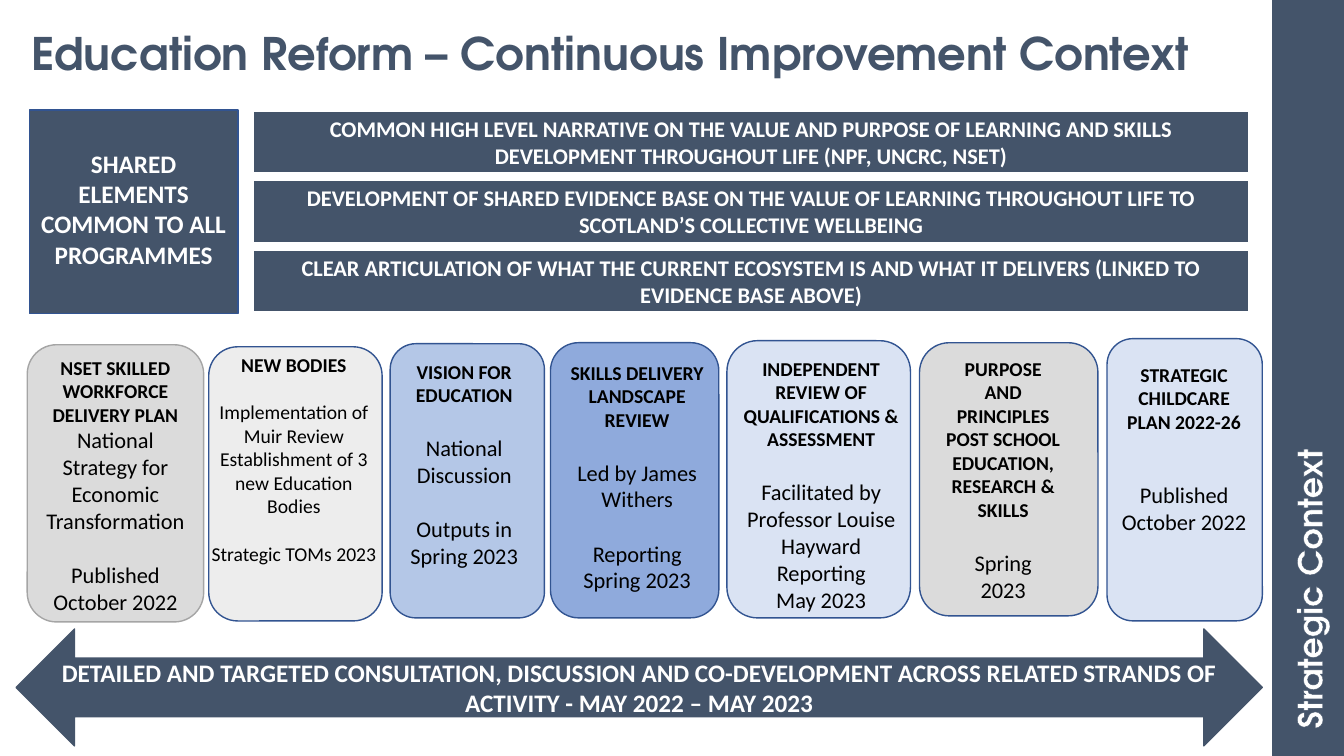
from pptx import Presentation
from pptx.dml.color import RGBColor
from pptx.enum.shapes import MSO_SHAPE
from pptx.enum.text import MSO_ANCHOR, PP_ALIGN
from pptx.oxml import parse_xml
from pptx.oxml.ns import nsdecls
from pptx.util import Inches, Pt

RECT = MSO_SHAPE.RECTANGLE
ROUND = MSO_SHAPE.ROUNDED_RECTANGLE
ARROW = MSO_SHAPE.LEFT_RIGHT_ARROW
TOP, MIDDLE = MSO_ANCHOR.TOP, MSO_ANCHOR.MIDDLE
LEFT, CENTER = PP_ALIGN.LEFT, PP_ALIGN.CENTER

SLATE = RGBColor(0x44, 0x54, 0x6A)
BLUE_LINE = RGBColor(0x32, 0x54, 0x91)
GREY_LINE = RGBColor(0xA5, 0xA5, 0xA5)
GREY = RGBColor(0xDB, 0xDB, 0xDB)
PALE_GREY = RGBColor(0xED, 0xED, 0xED)
PALE_BLUE = RGBColor(0xDA, 0xE3, 0xF3)
LIGHT_BLUE = RGBColor(0xB4, 0xC7, 0xE7)
MID_BLUE = RGBColor(0x8F, 0xAA, 0xDC)
WHITE = RGBColor(0xFF, 0xFF, 0xFF)
BLACK = RGBColor(0, 0, 0)

BODY_FONT, TITLE_FONT = "Calibri", "TeX Gyre Adventor"

# Paragraph styles: size, bold, space before (points)
HEAD = (14, True, 0)
BODY = (16, False, 0)
BODY_GAP = (16, False, 19.5)
SMALL_GAP = (14, False, 17)
BAR = (16, True, 0)
BANNER = (18, True, 0)
TITLE = (32, True, 0)
SIDE = (24, True, 0)

BARS = [
    "COMMON HIGH LEVEL NARRATIVE ON THE VALUE AND PURPOSE OF LEARNING AND SKILLS "
    "DEVELOPMENT THROUGHOUT LIFE (NPF, UNCRC, NSET)",
    "DEVELOPMENT OF SHARED EVIDENCE BASE ON THE VALUE OF LEARNING THROUGHOUT LIFE TO "
    "SCOTLAND’S COLLECTIVE WELLBEING",
    "CLEAR ARTICULATION OF WHAT THE CURRENT ECOSYSTEM IS AND WHAT IT DELIVERS "
    "(LINKED TO EVIDENCE BASE ABOVE)",
]

# Card position, fill, line, text position, paragraphs
CARDS = [
    ((0.27, 3.42, 1.75, 2.75), GREY, GREY_LINE, (0.35, 3.48, 1.59, 2.69), [
        ("NSET SKILLED", HEAD), ("WORKFORCE DELIVERY PLAN", HEAD),
        ("National Strategy for Economic Transformation", BODY),
        ("Published October 2022", BODY_GAP)]),
    ((2.07, 3.44, 1.72, 2.72), PALE_GREY, BLUE_LINE, (1.97, 3.45, 1.89, 2.52), [
        ("NEW BODIES", HEAD),
        ("Implementation of Muir Review Establishment of 3 new Education Bodies",
         SMALL_GAP),
        ("Strategic TOMs 2023", SMALL_GAP)]),
    ((3.87, 3.41, 1.53, 2.72), LIGHT_BLUE, BLUE_LINE, (3.84, 3.52, 1.53, 2.19), [
        ("VISION FOR EDUCATION", HEAD), ("National Discussion", BODY_GAP),
        ("Outputs in Spring 2023", BODY_GAP)]),
    ((5.46, 3.4, 1.67, 2.73), MID_BLUE, BLUE_LINE, (5.49, 3.53, 1.66, 2.42), [
        ("SKILLS DELIVERY LANDSCAPE REVIEW", HEAD),
        ("Led by James Withers", BODY_GAP),
        ("Reporting", BODY_GAP), ("Spring 2023", BODY)]),
    ((7.21, 3.38, 1.82, 2.75), PALE_BLUE, BLUE_LINE, (7.23, 3.49, 1.83, 2.66), [
        ("INDEPENDENT REVIEW OF QUALIFICATIONS & ASSESSMENT", HEAD),
        ("Facilitated by Professor Louise Hayward", BODY_GAP),
        ("Reporting", BODY), ("May 2023", BODY)]),
    ((9.12, 3.4, 1.77, 2.71), GREY, BLUE_LINE, (9.11, 3.49, 1.68, 2.56), [
        ("PURPOSE", HEAD), ("AND", HEAD), ("PRINCIPLES", HEAD),
        ("POST SCHOOL EDUCATION, RESEARCH & SKILLS", HEAD),
        ("Spring", BODY_GAP), ("2023", BODY)]),
    ((10.98, 3.36, 1.54, 2.8), PALE_BLUE, BLUE_LINE, (10.98, 3.55, 1.53, 2.1), [
        ("STRATEGIC CHILDCARE PLAN 2022-26", HEAD),
        ("Published October 2022", (16, False, 34))]),
]


class Deck:
    def __init__(self):
        self.prs = Presentation()
        self.prs.slide_width, self.prs.slide_height = Inches(13.33), Inches(7.5)
        self.s = self.prs.slides.add_slide(self.prs.slide_layouts[6])

    def shape(self, kind, at, fill, line, width=1):
        sp = self.s.shapes.add_shape(kind, *map(Inches, at))
        sp.shadow.inherit = False
        sp.fill.solid()
        sp.fill.fore_color.rgb = fill
        sp.line.color.rgb = line
        sp.line.width = Pt(width)
        return sp

    def text(self, at, paragraphs, color, **options):
        tb = self.s.shapes.add_textbox(*map(Inches, at))
        self.set_text(tb, paragraphs, color, **options)
        return tb

    def set_text(self, sp, paragraphs, color, font=BODY_FONT, align=CENTER, anchor=TOP):
        """Fill a shape with (text, style) paragraphs."""
        tf = sp.text_frame
        tf.word_wrap = True
        tf.vertical_anchor = anchor
        for i, (text, (size, bold, gap)) in enumerate(paragraphs):
            p = tf.add_paragraph() if i else tf.paragraphs[0]
            p.text = text
            p.alignment = align
            if gap:
                p.space_before = Pt(gap)
            r = p.runs[0]
            r.font.name, r.font.size, r.font.bold = font, Pt(size), bold
            r.font.color.rgb = color


def outline_text(r, color, width):
    r.font._element.insert(0, parse_xml(
        f'<a:ln {nsdecls("a")} w="{Pt(width)}"><a:solidFill>'
        f'<a:srgbClr val="{color}"/></a:solidFill></a:ln>'))


def main():
    deck = Deck()
    title = deck.text((0.21, 0.19, 12.25, 0.72),
                      [("Education Reform – Continuous Improvement Context", TITLE)],
                      SLATE, font=TITLE_FONT, align=LEFT, anchor=MIDDLE)
    title.text_frame.paragraphs[0].line_spacing = 0.9

    deck.shape(RECT, (12.62, 0, 0.71, 7.5), SLATE, SLATE)
    side = deck.text((11.47, 5.56, 3.03, 0.5), [("Strategic Context", SIDE)],
                     WHITE, font=TITLE_FONT, align=LEFT)
    side.text_frame.word_wrap = False
    side.rotation = 270
    outline_text(side.text_frame.paragraphs[0].runs[0], SLATE, 0.75)

    deck.shape(RECT, (0.29, 1.09, 2.07, 2.02), SLATE, BLUE_LINE)
    deck.text((0.29, 1.42, 2.07, 1.61),
              [("SHARED ELEMENTS COMMON TO ALL PROGRAMMES", BANNER)], WHITE)
    for i, text in enumerate(BARS):
        bar = deck.shape(RECT, (2.5, 1.09 + 0.69 * i, 9.9, 0.64), SLATE, WHITE, 3)
        deck.set_text(bar, [(text, BAR)], WHITE)

    for at, fill, line, text_at, paragraphs in CARDS:
        deck.shape(ROUND, at, fill, line)
        deck.text(text_at, paragraphs, BLACK)

    arrow = deck.shape(ARROW, (0.16, 6.24, 12.36, 1.16), SLATE, SLATE)
    deck.set_text(arrow, [("DETAILED AND TARGETED CONSULTATION, DISCUSSION AND "
                           "CO-DEVELOPMENT ACROSS RELATED STRANDS OF ACTIVITY - "
                           "MAY 2022 – MAY 2023", BANNER)], WHITE, anchor=MIDDLE)
    deck.prs.save("out.pptx")


if __name__ == "__main__":
    main()
